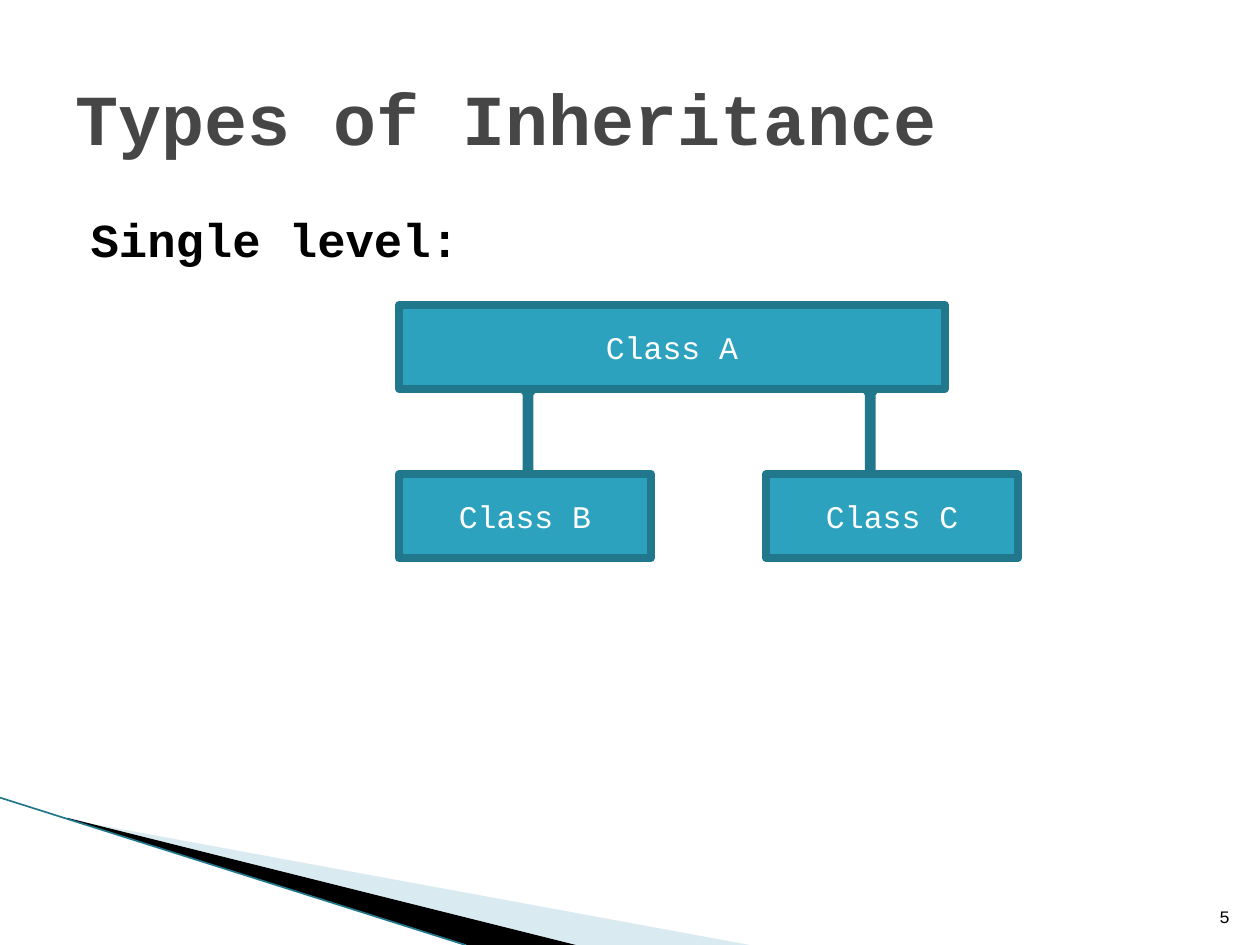
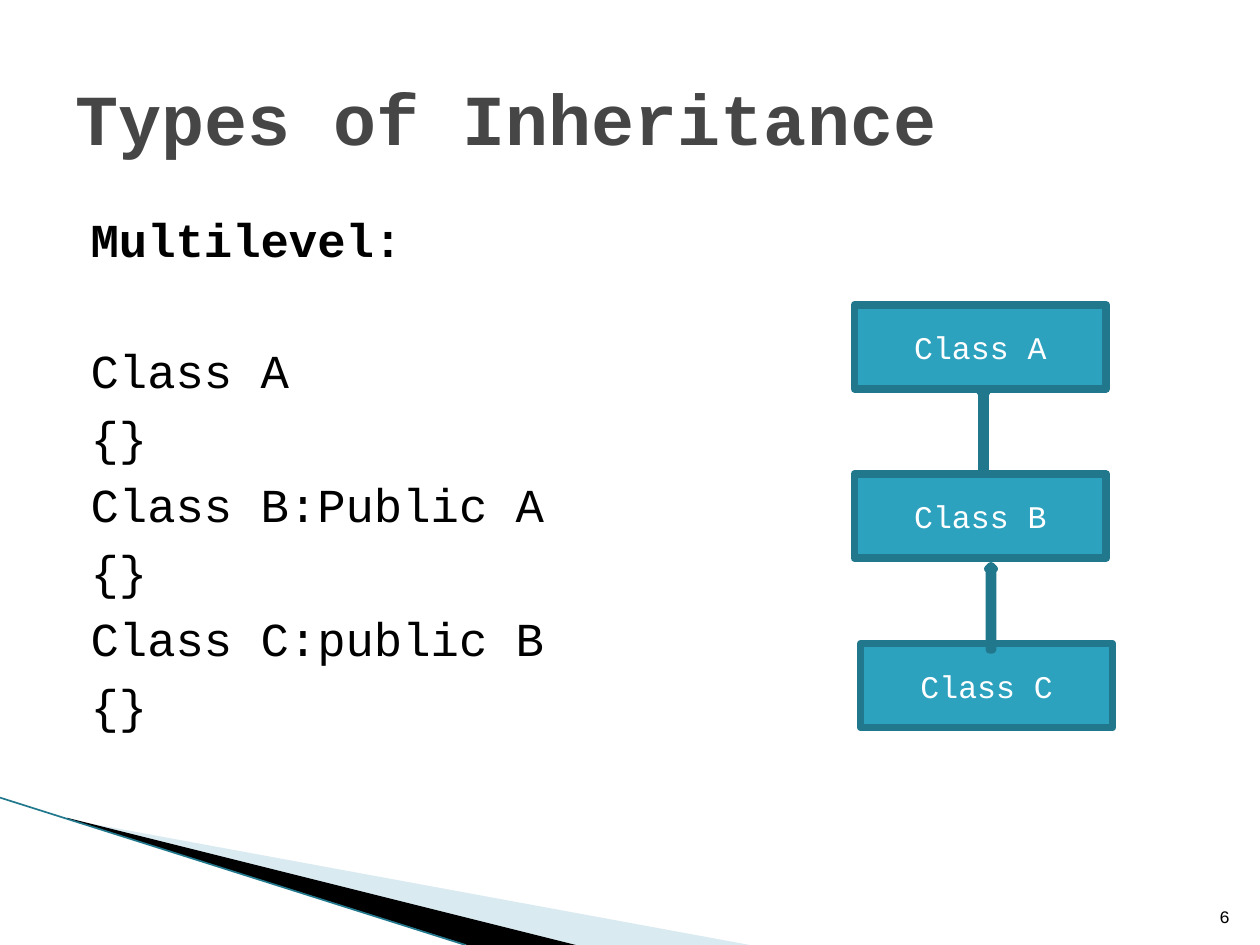
from dataclasses import dataclass

from lxml.etree import SubElement
from pptx import Presentation
from pptx.dml.color import RGBColor
from pptx.enum.shapes import MSO_CONNECTOR, MSO_SHAPE
from pptx.enum.text import MSO_ANCHOR, PP_ALIGN
from pptx.oxml.ns import qn
from pptx.util import Pt


@dataclass(frozen=True)
class Theme:
    font: str = "Courier New"
    title_color: str = "464646"
    text_color: str = "000000"
    box_fill: str = "2DA2BF"
    box_line: str = "21788D"
    box_text: str = "FFFFFF"
    pale_band: str = "A0CBDC"
    dark_band: str = "000000"
    title_size: float = 41
    body_size: float = 27
    box_size: float = 18
    number_size: float = 10
    box_border: float = 4.33
    edge_width: float = 0.95


THEME = Theme()
ROW_TOP, ROW_PITCH = 174.2, 96.8
BOX_WIDTH, BOX_HEIGHT = 144, 48
ARROW_WIDTH, ARROW_HEIGHT = 3.6, 48


def rgb(color):
    return RGBColor.from_string(color)


def write(paragraph, text, *, size, color, bold=False, align=PP_ALIGN.LEFT, before=0):
    paragraph.alignment = align
    paragraph.space_before = Pt(before)
    span = paragraph.add_run()
    span.text = text
    span.font.name = THEME.font
    span.font.size = Pt(size)
    span.font.bold = bold
    span.font.color.rgb = rgb(color)


def add_text_box(page, left, top, width, height, anchor):
    box = page.shapes.add_textbox(Pt(left), Pt(top), Pt(width), Pt(height))
    frame = box.text_frame
    frame.word_wrap = True
    frame.vertical_anchor = anchor
    return frame


def add_band(page, corners, color, opacity=100):
    points = [(Pt(x), Pt(y)) for x, y in corners]
    builder = page.shapes.build_freeform(*points[0], scale=1.0)
    builder.add_line_segments(points[1:], close=True)
    band = builder.convert_to_shape()
    band.shadow.inherit = False
    band.fill.solid()
    band.fill.fore_color.rgb = rgb(color)
    band.line.fill.background()
    if opacity < 100:
        color_element = next(band._element.spPr.iter(qn("a:srgbClr")))
        SubElement(color_element, qn("a:alpha"), val=str(opacity * 1000))


def add_edge(page, start, end):
    edge = page.shapes.add_connector(
        MSO_CONNECTOR.STRAIGHT, *(Pt(value) for value in start + end))
    edge.line.color.rgb = rgb(THEME.box_line)
    edge.line.width = Pt(THEME.edge_width)
    SubElement(edge._element.spPr, qn("a:effectLst"))


def add_page(deck, number):
    page = deck.slides.add_slide(deck.slide_layouts[6])
    add_band(page, [(39.6, 468.4), (428.4, 540), (328.3, 540), (39.6, 468)],
             THEME.pale_band, opacity=40)
    add_band(page, [(38.2, 467.3), (329, 540), (267, 540), (38.9, 468)],
             THEME.dark_band)
    add_edge(page, (0, 455.8), (266, 540))
    title = add_text_box(page, 36, 21.6, 648, 90, MSO_ANCHOR.MIDDLE)
    write(title.paragraphs[0], "Types of Inheritance", size=THEME.title_size,
          color=THEME.title_color, bold=True)
    footer = add_text_box(page, 681, 504.7, 28.8, 28.8, MSO_ANCHOR.BOTTOM)
    write(footer.paragraphs[0], str(number), size=THEME.number_size,
          color=THEME.text_color, align=PP_ALIGN.RIGHT)
    return page


def add_body(page, heading, code=()):
    frame = add_text_box(page, 36, 116.6, 648, 356.4, MSO_ANCHOR.TOP)
    frame.margin_left = Pt(15.8)
    gap = 5.9
    blank_line = 36.5
    write(frame.paragraphs[0], heading, size=THEME.body_size,
          color=THEME.text_color, bold=True, before=gap)
    for index, line in enumerate(code):
        write(frame.add_paragraph(), line, size=THEME.body_size,
              color=THEME.text_color, before=gap if index else gap + blank_line)


def add_block(page, preset, left, top, width, height):
    block = page.shapes.add_shape(preset, Pt(left), Pt(top), Pt(width), Pt(height))
    block.shadow.inherit = False
    block.fill.solid()
    block.fill.fore_color.rgb = rgb(THEME.box_fill)
    block.line.color.rgb = rgb(THEME.box_line)
    block.line.width = Pt(THEME.box_border)
    return block


def add_class(page, name, left, row, width=BOX_WIDTH):
    box = add_block(page, MSO_SHAPE.RECTANGLE, left, ROW_TOP + row * ROW_PITCH,
                    width, BOX_HEIGHT)
    box.text_frame.vertical_anchor = MSO_ANCHOR.MIDDLE
    write(box.text_frame.paragraphs[0], f"Class {name}", size=THEME.box_size,
          color=THEME.box_text, align=PP_ALIGN.CENTER)


def add_arrow(page, left, row, drop=0):
    top = ROW_TOP + row * ROW_PITCH + BOX_HEIGHT + drop
    add_block(page, MSO_SHAPE.UP_ARROW, left, top, ARROW_WIDTH, ARROW_HEIGHT)


def add_single_level(deck):
    page = add_page(deck, 5)
    add_body(page, "Single level:")
    add_class(page, "A", 228, 0, width=312)
    add_class(page, "B", 228, 1)
    add_arrow(page, 300, 0)
    add_class(page, "C", 437.8, 1)
    add_arrow(page, 495.5, 0)


def add_multilevel(deck):
    page = add_page(deck, 6)
    add_body(page, "Multilevel:", ["Class A", "{}", "Class B:Public A", "{}",
                                   "Class C:public B", "{}"])
    add_class(page, "A", 488.2, 0)
    add_class(page, "B", 488.2, 1)
    add_arrow(page, 560.2, 0)
    add_class(page, "C", 491.8, 2)
    add_arrow(page, 564.5, 1, drop=4.3)


def main():
    deck = Presentation()
    deck.slide_width, deck.slide_height = Pt(720), Pt(540)
    add_single_level(deck)
    add_multilevel(deck)
    deck.save("out.pptx")


if __name__ == "__main__":
    main()
